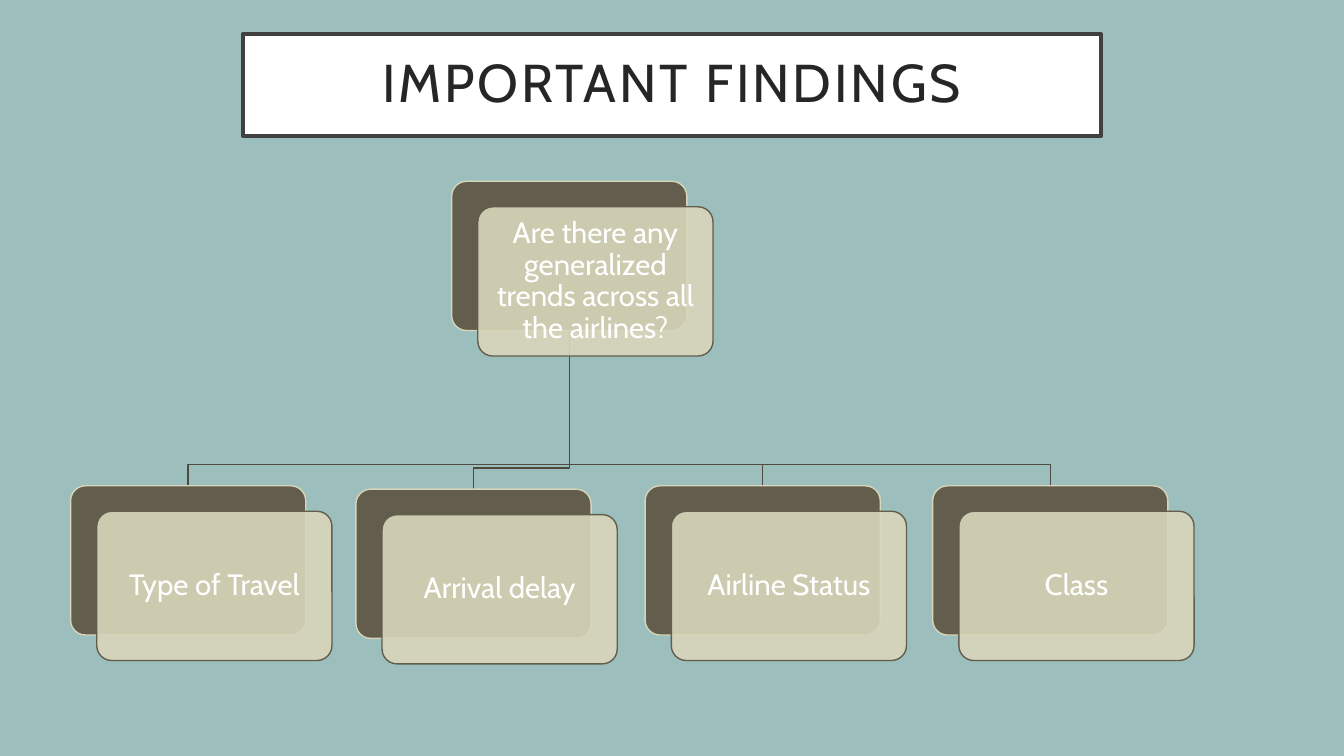
from lxml import etree
from pptx import Presentation
from pptx.dml.color import RGBColor
from pptx.enum import shapes, text
from pptx.oxml import ns
from pptx.util import Pt

COLORS = {"background": "9CBEBD", "white": "FFFFFF", "title": "262626",
          "frame": "404040", "dark": "635D4D", "light": "D8D6BA",
          "branch": "4F4A3E"}
FONT = "Cabin"
CARD_W, CARD_H = 168, 106.6
OFFSET_X, OFFSET_Y = 18.7, 18.2  # front card relative to back card
BEND = 15.2  # height of a branch's bend above its card

ROOT = ("Are there any generalized trends across all the airlines?", 322.6, 129.5)
FINDINGS = [("Type of Travel", 50.4, 347),
            ("Arrival delay", 254.2, 349.4),
            ("Airline Status", 460.8, 347),
            ("Class", 666.2, 347)]


def color(name):
    return RGBColor.from_string(COLORS[name])


def paint(sp, fill, line, width=1):
    sp.fill.solid()
    sp.fill.fore_color.rgb = color(fill)
    sp.line.color.rgb = color(line)
    sp.line.width = Pt(width)


def write(sp, content, size, font_color, inset_x, inset_y):
    tf = sp.text_frame
    tf.text = content
    tf.word_wrap = True
    tf.auto_size = text.MSO_AUTO_SIZE.NONE
    tf.vertical_anchor = text.MSO_ANCHOR.MIDDLE
    tf.margin_left = tf.margin_right = Pt(inset_x)
    tf.margin_top = tf.margin_bottom = Pt(inset_y)
    p = tf.paragraphs[0]
    p.alignment = text.PP_ALIGN.CENTER
    p.line_spacing = 0.9
    p.space_before = Pt(0)
    p.font.name = FONT
    p.font.size = Pt(size)
    p.font.color.rgb = color(font_color)
    return p


def add_title(s, content):
    sp = s.shapes.title
    sp.left, sp.top, sp.width, sp.height = Pt(173.5), Pt(24.5), Pt(613), Pt(72.7)
    paint(sp, "white", "frame", 3)
    p = write(sp, content, 38, "title", 21.6, 14.4)
    p.runs[0].font._element.set("spc", "200")


def add_branch(s, root, finding):
    _, root_x, root_y = root
    _, x, y = finding
    start_x, end_x = root_x + CARD_W / 2, x + CARD_W / 2
    start_y, bend_y = root_y + CARD_H, y - BEND
    builder = s.shapes.build_freeform(Pt(start_x), Pt(start_y))
    corners = [(start_x, bend_y), (end_x, bend_y), (end_x, y)]
    builder.add_line_segments([(Pt(cx), Pt(cy)) for cx, cy in corners], close=False)
    sp = builder.convert_to_shape()
    sp.shadow.inherit = False
    sp.fill.background()
    sp.line.color.rgb = color("branch")
    sp.line.width = Pt(1)


def add_panel(s, x, y, fill, line):
    sp = s.shapes.add_shape(shapes.MSO_SHAPE.ROUNDED_RECTANGLE,
                            Pt(x), Pt(y), Pt(CARD_W), Pt(CARD_H))
    sp.adjustments[0] = 0.1
    sp.shadow.inherit = False
    paint(sp, fill, line)
    return sp


def add_card(s, content, x, y):
    add_panel(s, x, y, "dark", "light")
    front = add_panel(s, x + OFFSET_X, y + OFFSET_Y, "light", "dark")
    fill_color = front._element.spPr.find(ns.qn("a:solidFill"))[0]
    etree.SubElement(fill_color, ns.qn("a:alpha"), val="90000")
    write(front, content, 21, "white", 6.5, 6.5)


def main():
    prs = Presentation()
    prs.slide_width, prs.slide_height = Pt(960), Pt(540)
    s = prs.slides.add_slide(prs.slide_layouts[5])
    s.background.fill.solid()
    s.background.fill.fore_color.rgb = color("background")
    add_title(s, "IMPORTANT FINDINGS")

    # Branches lie behind the cards
    for finding in reversed(FINDINGS):
        add_branch(s, ROOT, finding)

    # Question and findings
    for card in [ROOT, *FINDINGS]:
        add_card(s, *card)
    prs.save("out.pptx")


if __name__ == "__main__":
    main()
